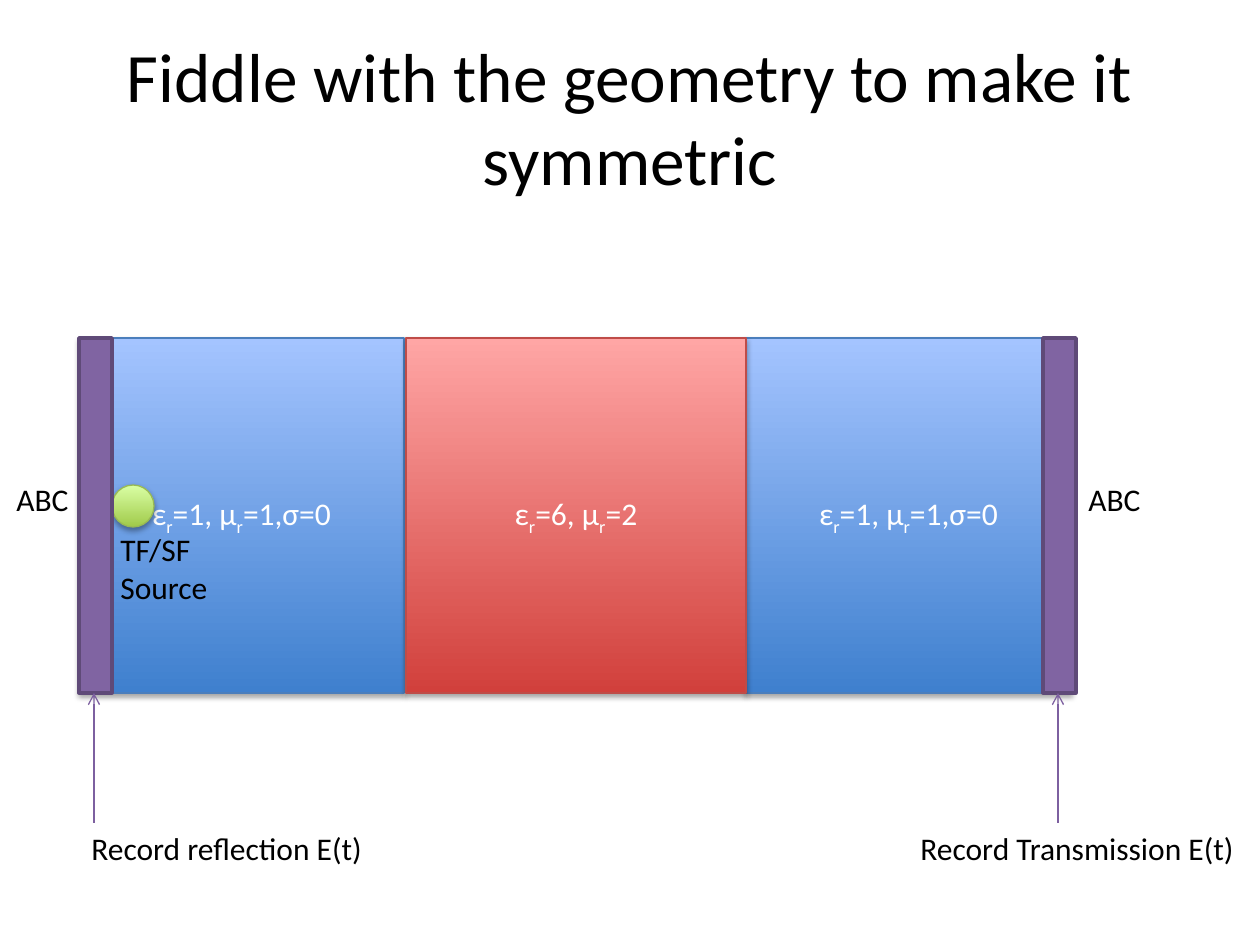
"""Build a slide of a symmetric layered geometry with sources and recorders."""
import pptx
import pptx.util
import pptx.dml.color
import pptx.enum.shapes
import pptx.enum.text
import pptx.oxml
import pptx.oxml.ns

THEME = {
    "font": "Calibri", "title": 39.6, "body": 18,
    "dark": "000000", "light": "FFFFFF",
    "blue": ("3F80CE", "A4C4FF", "4B7EBC"),
    "red": ("D1403C", "FFA6A5", "BF4C48"),
    "green": ("A0CA4A", "DAFFA5", "98B955"),
    "bar": "8064A2", "edge": "5F4A78", "arrow": "7D60A0",
}
TOP, HIGH, LEFT = 338, 355, 79
SIDE, CORE, WALL = 325, 340, 33
MID = LEFT + SIDE + 2
RIGHT = MID + CORE
END = RIGHT + SIDE + 5
FOOT = TOP + HIGH
BASE = 823

TITLE = "Fiddle with the geometry to make it symmetric"
AIR = "ε_r_=1, μ_r_=1,σ=0"
SLABS = [
    (RIGHT, SIDE, "blue", AIR),
    (LEFT, SIDE, "blue", AIR),
    (MID, CORE, "red", "ε_r_=6, μ_r_=2"),
]
ENDS = [(4, 78, "ABC"), (END, 78, "ABC")]
DOT = (112, 485, 42, 42)
SOURCE = ((108, 524, 113, 89), "TF/SF\nSource")
SENSORS = [
    (LEFT, 94, (79, BASE, 301, 50), "Record reflection E(t)"),
    (END - WALL, 1058, (908, BASE, 345, 50), "Record Transmission E(t)"),
]
NS = pptx.oxml.ns.nsdecls("a")
SHADOW = (f'<a:effectLst {NS}><a:outerShdw blurRad="40000" dist="23000" dir="5400000" '
          'rotWithShape="0"><a:srgbClr val="000000"><a:alpha val="35000"/>'
          '</a:srgbClr></a:outerShdw></a:effectLst>')
KIND = pptx.enum.shapes.MSO_SHAPE
ALIGN = pptx.enum.text.PP_ALIGN
ANCHOR = pptx.enum.text.MSO_ANCHOR


def px(num):
    return round(num * 914400 / 126)


def rgb(code):
    return pptx.dml.color.RGBColor.from_string(code)


def write(shape, text, size=THEME["body"], color=THEME["dark"],
          align=ALIGN.LEFT, anchor=ANCHOR.TOP, wrap=False):
    frame = shape.text_frame
    frame.word_wrap = wrap
    frame.vertical_anchor = anchor
    for row, line in enumerate(text.split("\n")):
        para = frame.add_paragraph() if row else frame.paragraphs[0]
        para.alignment = align
        for part, word in enumerate(line.split("_")):
            run = para.add_run()
            run.text = word
            run.font.name = THEME["font"]
            run.font.size = pptx.util.Pt(size)
            run.font.color.rgb = rgb(color)
            if part % 2:
                run.font._element.set("baseline", "-25000")


def label(box, text, **form):
    write(slide.shapes.add_textbox(*map(px, box)), text, **form)


def stroke(shape, color, width):
    shape.line.color.rgb = rgb(color)
    shape.line.width = pptx.util.Pt(width)


def glossy(kind, box, tone):
    low, high, edge = THEME[tone]
    shape = slide.shapes.add_shape(kind, *map(px, box))
    shape.fill.gradient()
    shape.fill.gradient_angle = 90
    for stop, code in zip(shape.fill.gradient_stops, (low, high)):
        stop.color.rgb = rgb(code)
    stroke(shape, edge, 0.75)
    shape._element.spPr.append(pptx.oxml.parse_xml(SHADOW))
    return shape


def wall(left):
    shape = slide.shapes.add_shape(KIND.RECTANGLE, *map(px, (left, TOP, WALL, HIGH)))
    shape.shadow.inherit = False
    shape.fill.solid()
    shape.fill.fore_color.rgb = rgb(THEME["bar"])
    stroke(shape, THEME["edge"], 2)


def arrow(x):
    link = slide.shapes.add_connector(
        pptx.enum.shapes.MSO_CONNECTOR.STRAIGHT, *map(px, (x, BASE, x, FOOT)))
    stroke(link, THEME["arrow"], 0.75)
    link.line._get_or_add_ln().append(
        pptx.oxml.parse_xml(f'<a:tailEnd {NS} type="arrow"/>'))
    link._element.spPr.append(pptx.oxml.parse_xml(f"<a:effectLst {NS}/>"))


deck = pptx.Presentation()
deck.slide_width, deck.slide_height = px(1260), px(945)
slide = deck.slides.add_slide(deck.slide_layouts[6])

label((63, 38, 1134, 157), TITLE, size=THEME["title"],
      align=ALIGN.CENTER, anchor=ANCHOR.MIDDLE, wrap=True)
for left, width, tone, text in SLABS:
    slab = glossy(KIND.RECTANGLE, (left, TOP, width, HIGH), tone)
    write(slab, text, color=THEME["light"], align=ALIGN.CENTER,
          anchor=ANCHOR.MIDDLE, wrap=True)
for left, width, text in ENDS:
    label((left, 474, width, 50), text)
glossy(KIND.OVAL, DOT, "green")
label(*SOURCE)
for left, x, box, text in SENSORS:
    wall(left)
    label(box, text)
    arrow(x)

deck.save("out.pptx")
